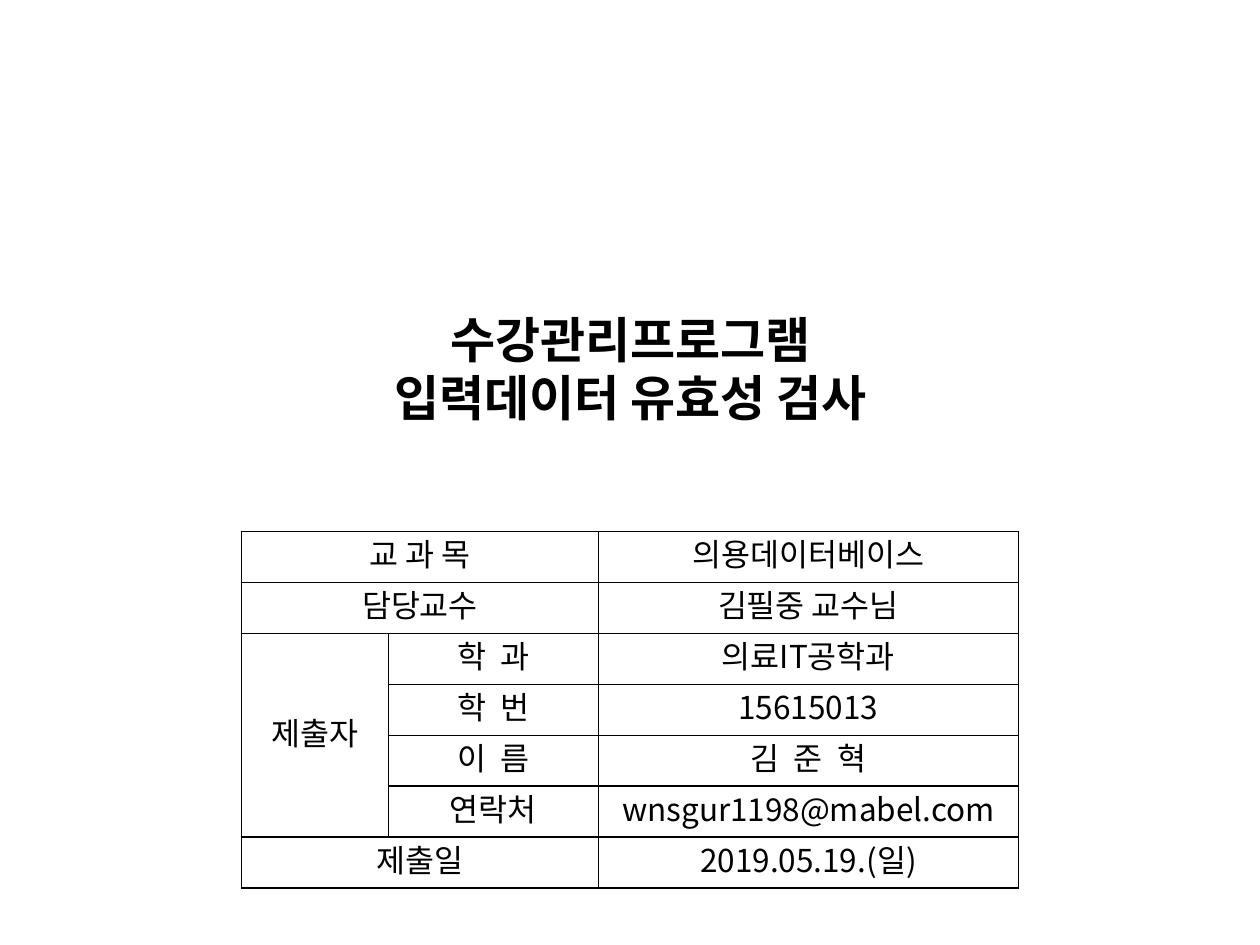
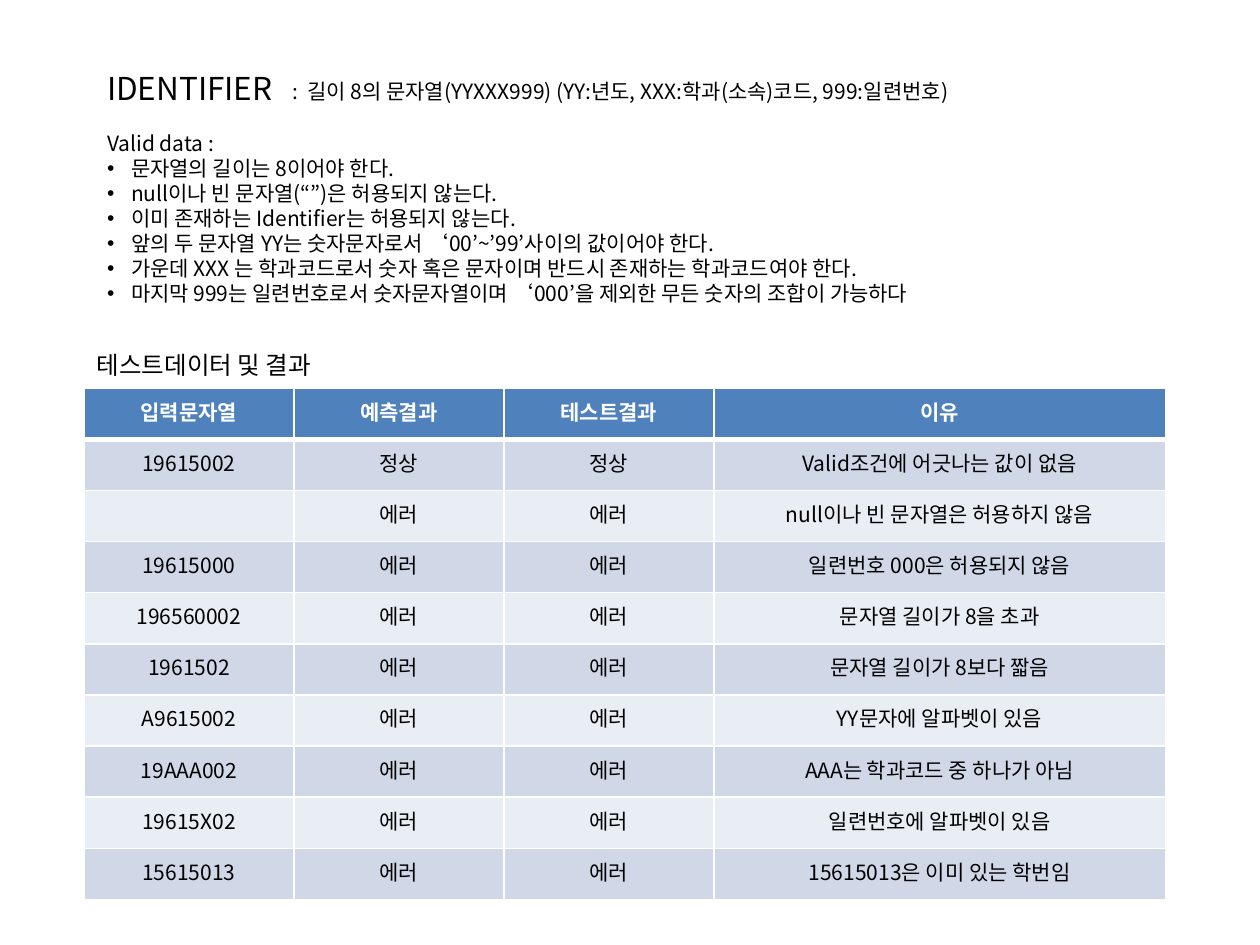
from lxml import etree
from pptx import Presentation
from pptx.dml.color import RGBColor
from pptx.enum.text import MSO_ANCHOR, MSO_AUTO_SIZE, PP_ALIGN
from pptx.oxml.ns import qn
from pptx.util import Inches, Pt

TOP, MID = MSO_ANCHOR.TOP, MSO_ANCHOR.MIDDLE
GROW = MSO_AUTO_SIZE.SHAPE_TO_FIT_TEXT
LEFT, CENTER = PP_ALIGN.LEFT, PP_ALIGN.CENTER

FONT = "Noto Sans CJK KR"
BLACK = RGBColor(0x00, 0x00, 0x00)
WHITE = RGBColor(0xFF, 0xFF, 0xFF)
BLUE = RGBColor(0x4F, 0x81, 0xBD)
BANDS = RGBColor(0xD0, 0xD8, 0xE8), RGBColor(0xE9, 0xED, 0xF4)
LEAD = 1.19

COVER = ["수강관리프로그램", "입력데이터 유효성 검사"]
FORM = [
    ("교 과 목", "", "의용데이터베이스"),
    ("담당교수", "", "김필중 교수님"),
    ("제출자", "학  과", "의료IT공학과"),
    ("", "학  번", "15615013"),
    ("", "이  름", "김  준  혁"),
    ("", "연락처", "wnsgur1198@mabel.com"),
    ("제출일", "", "2019.05.19.(일)"),
]
SPANS = [((0, 0), (0, 1)), ((1, 0), (1, 1)), ((2, 0), (5, 0)), ((6, 0), (6, 1))]

FIELD = "IDENTIFIER"
FORMAT = ":  길이 8의 문자열(YYXXX999) (YY:년도, XXX:학과(소속)코드, 999:일련번호)"
VALID = "Valid data :"
RULES = [
    "문자열의 길이는 8이어야 한다.",
    "null이나 빈 문자열(“”)은 허용되지 않는다.",
    "이미 존재하는 Identifier는 허용되지 않는다.",
    "앞의 두 문자열 YY는 숫자문자로서 ‘00’~’99’사이의 값이어야 한다.",
    "가운데 XXX 는 학과코드로서 숫자 혹은 문자이며 반드시 존재하는 학과코드여야 한다.",
    "마지막 999는 일련번호로서 숫자문자열이며 ‘000’을 제외한 무든 숫자의 조합이 가능하다",
]
RESULT = "테스트데이터 및 결과"
HEADS = ("입력문자열", "예측결과", "테스트결과", "이유")
OK, BAD = "정상", "에러"
TESTS = [
    ("19615002", OK, "Valid조건에 어긋나는 값이 없음"),
    ("", BAD, "null이나 빈 문자열은 허용하지 않음"),
    ("19615000", BAD, "일련번호 000은 허용되지 않음"),
    ("196560002", BAD, "문자열 길이가 8을 초과"),
    ("1961502", BAD, "문자열 길이가 8보다 짧음"),
    ("A9615002", BAD, "YY문자에 알파벳이 있음"),
    ("19AAA002", BAD, "AAA는 학과코드 중 하나가 아님"),
    ("19615X02", BAD, "일련번호에 알파벳이 있음"),
    ("15615013", BAD, "15615013은 이미 있는 학번임"),
]

UNIT = Inches(1) // 12
FORM_COLS = (14, 20, 40)
TEST_COLS = (20, 20, 20, 43)


def write(para, text, size, color=BLACK, bold=False, align=LEFT, lead=1):
    para.alignment = align
    para.space_before = para.space_after = Pt(0)
    para.line_spacing = Pt(round(size * LEAD * lead, 1))
    if not text:
        return
    run = para.add_run()
    run.text = text
    font = run.font
    font.size, font.bold, font.name = Pt(size), bold, FONT
    font.color.rgb = color
    etree.SubElement(run._r.get_or_add_rPr(), qn("a:ea"), typeface=FONT)


def fill_box(shape, at, lines, size, **style):
    shape.left, shape.top, shape.width, shape.height = map(Inches, at)
    frame = shape.text_frame
    frame.word_wrap = True
    frame.auto_size = GROW
    frame.vertical_anchor = TOP
    for i, line in enumerate(lines):
        para = frame.add_paragraph() if i else frame.paragraphs[0]
        write(para, line, size, **style)
    return frame


def add_note(slide, at, text, size, **style):
    box = slide.shapes.add_textbox(0, 0, 0, 0)
    fill_box(box, at, [text], size, **style)


def set_list(para, mark):
    props = para._p.get_or_add_pPr()
    dent = Inches(0.19) if mark else 0
    props.set("marL", str(dent))
    props.set("indent", str(-dent))
    if mark:
        etree.SubElement(props, qn("a:buFont"), typeface="Arial")
        etree.SubElement(props, qn("a:buChar"), char=mark)
    else:
        etree.SubElement(props, qn("a:buNone"))


def edge(cell, color, base):
    props = cell._tc.get_or_add_tcPr()
    for side, width in (("L", 1), ("R", 1), ("T", 1), ("B", base)):
        line = etree.SubElement(props, qn("a:ln" + side), w=str(Pt(width)))
        paint = etree.SubElement(line, qn("a:solidFill"))
        etree.SubElement(paint, qn("a:srgbClr"), val=str(color))


def add_grid(slide, left, top, tall, cols, rows, size, line, head=False):
    frame = slide.shapes.add_table(
        len(rows), len(cols), left * UNIT, Inches(top), sum(cols) * UNIT, Inches(tall))
    table = frame.table
    table.first_row = head
    table.horz_banding = False
    for col, wide in zip(table.columns, cols):
        col.width = wide * UNIT
    for r, row in enumerate(rows):
        top_row = head and r == 0
        for c, text in enumerate(row):
            cell = table.cell(r, c)
            cell.vertical_anchor = MID
            edge(cell, line, 3 if top_row else 1)
            if head:
                cell.fill.solid()
                cell.fill.fore_color.rgb = BLUE if top_row else BANDS[(r - 1) % 2]
            else:
                cell.fill.background()
            write(cell.text_frame.paragraphs[0], text, size,
                  WHITE if top_row else BLACK, top_row, CENTER)
    return table


def add_cover(deck):
    slide = deck.slides.add_slide(deck.slide_layouts[5])
    fill_box(slide.shapes.title, (2.8, 2.41, 4.41, 1.04), COVER, 28,
             bold=True, align=CENTER)
    table = add_grid(slide, 23, 4.22, 2.83, FORM_COLS, FORM, 18, BLACK)
    for start, end in SPANS:
        table.cell(*start).merge(table.cell(*end))


def add_tests(deck):
    slide = deck.slides.add_slide(deck.slide_layouts[1])
    fill_box(slide.shapes.title, (0.75, 0.5, 1.54, 0.4), [FIELD], 18)
    add_note(slide, (2.22, 0.48, 6.37, 0.4), FORMAT, 12, lead=1.5)
    body = fill_box(slide.placeholders[1], (0.75, 0.99, 7.12, 1.51),
                    [VALID] + RULES, 12)
    for i, para in enumerate(body.paragraphs):
        set_list(para, "•" if i else "")
    add_note(slide, (0.67, 2.73, 2.11, 0.34), RESULT, 14)
    rows = [HEADS] + [(text, state, state, why) for text, state, why in TESTS]
    add_grid(slide, 8, 3.08, 4.06, TEST_COLS, rows, 12, WHITE, head=True)


def main():
    deck = Presentation()
    deck.slide_width, deck.slide_height = Inches(10), Inches(7.5)
    add_cover(deck)
    add_tests(deck)
    deck.save("out.pptx")


if __name__ == "__main__":
    main()
